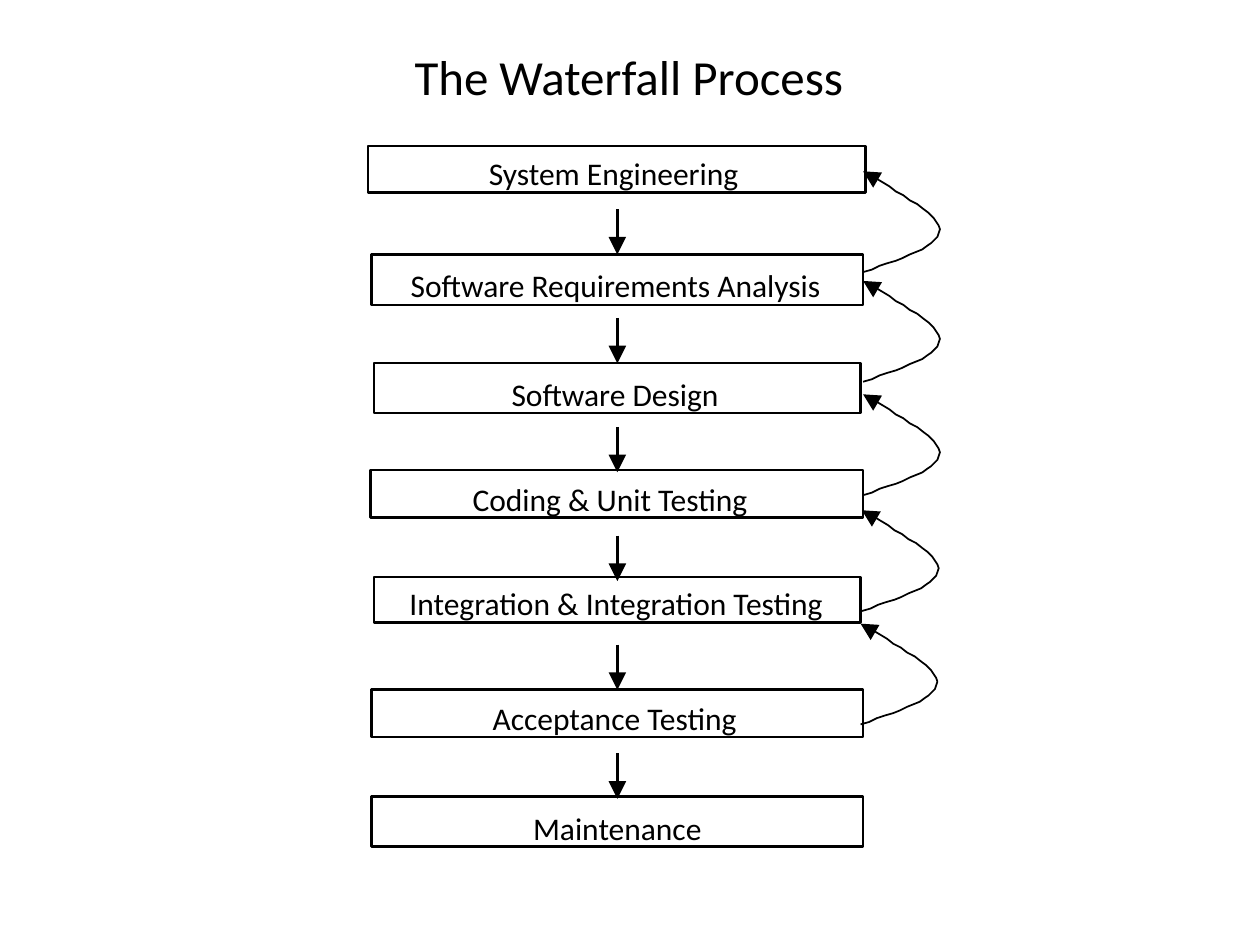
from dataclasses import dataclass

from lxml.etree import SubElement
from pptx import Presentation
from pptx.dml.color import RGBColor
from pptx.enum.shapes import MSO_CONNECTOR, MSO_SHAPE
from pptx.enum.text import MSO_ANCHOR, MSO_AUTO_SIZE, PP_ALIGN
from pptx.oxml.ns import qn
from pptx.util import Inches, Pt

BLACK = "000000"
FONT = "Calibri"
ARROW_COUNT = 6
ARROW_CENTER = 4.9
ARROW_TOP = 1.66
ARROW_STEP = 0.864
SHAFT_LENGTH = 0.23
DOWN_HEAD = [(0.07, 0.22), (-0.07, 0.22), (0, 0.36)]
FEEDBACK_HEAD = [(0, 0), (0.08, 0.13), (0.15, 0.01)]
FEEDBACK_CURVE = [
    (0, 0.80), (0.07, 0.78), (0.13, 0.75), (0.19, 0.73), (0.26, 0.71),
    (0.31, 0.69), (0.37, 0.66), (0.42, 0.64), (0.47, 0.62), (0.51, 0.59),
    (0.54, 0.57), (0.59, 0.52), (0.61, 0.46), (0.60, 0.43), (0.56, 0.37),
    (0.52, 0.33), (0.48, 0.30), (0.43, 0.26), (0.37, 0.23), (0.32, 0.19),
    (0.26, 0.16), (0.21, 0.12), (0.16, 0.09), (0.11, 0.06),
]


@dataclass
class Stage:
    name: str
    left: float
    top: float
    width: float
    height: float
    space_above: float
    indent: float = 0
    alignment: PP_ALIGN = PP_ALIGN.LEFT


@dataclass
class Feedback:
    left: float
    top: float


STAGES = [
    Stage("System Engineering", 2.92, 1.16, 3.95, 0.37, 4.8, 0.96),
    Stage("Software Requirements Analysis", 2.95, 2.02, 3.9, 0.4, 6.6, 0.31),
    Stage("Software Design", 2.97, 2.88, 3.86, 0.4, 6.8, 1.09),
    Stage("Coding & Unit Testing", 2.94, 3.73, 3.91, 0.38, 5.6, 0.81),
    Stage("Integration & Integration Testing", 2.97, 4.58, 3.86, 0.36, 4, 0.28),
    Stage("Acceptance Testing", 2.95, 5.47, 3.9, 0.38, 5.8, 0.96),
    Stage("Maintenance", 2.95, 6.32, 3.9, 0.4, 7.2, alignment=PP_ALIGN.CENTER),
]

FEEDBACKS = [
    Feedback(6.83, 4.95),
    Feedback(6.84, 4.05),
    Feedback(6.85, 3.13),
    Feedback(6.85, 2.23),
    Feedback(6.85, 1.36),
]


def color(value: str) -> RGBColor:
    return RGBColor.from_string(value)


def write_text(shape, text: str, *, size: float, inset_top, indent: float = 0,
               alignment: PP_ALIGN = PP_ALIGN.LEFT) -> None:
    frame = shape.text_frame
    frame.word_wrap = True
    frame.auto_size = MSO_AUTO_SIZE.NONE
    frame.vertical_anchor = MSO_ANCHOR.TOP
    frame.margin_left = Inches(indent)
    frame.margin_top = inset_top
    frame.margin_right = frame.margin_bottom = 0
    paragraph = frame.paragraphs[0]
    paragraph.alignment = alignment
    run = paragraph.add_run()
    run.text = text
    run.font.name = FONT
    run.font.size = Pt(size)
    run.font.color.rgb = color(BLACK)


def draw_title(slide) -> None:
    title = slide.shapes.add_textbox(Inches(1.52), Inches(0.19), Inches(6.97), Inches(0.64))
    write_text(title, "The Waterfall Process", size=28, inset_top=Inches(0.18), indent=1.77)


def draw_stage(slide, stage: Stage) -> None:
    box = slide.shapes.add_shape(
        MSO_SHAPE.RECTANGLE, Inches(stage.left), Inches(stage.top),
        Inches(stage.width), Inches(stage.height))
    box.shadow.inherit = False
    box.fill.background()
    box.line.color.rgb = color(BLACK)
    box.line.width = Pt(1.5)
    write_text(box, stage.name, size=18, inset_top=Pt(stage.space_above),
               indent=stage.indent, alignment=stage.alignment)


def draw_outline(group, points: list, left: float, top: float, closed: bool):
    places = [(Inches(left + x), Inches(top + y)) for x, y in points]
    builder = group.shapes.build_freeform(*places[0])
    builder.add_line_segments(places[1:], close=closed)
    shape = builder.convert_to_shape()
    shape.shadow.inherit = False
    return shape


def draw_head(group, points: list, left: float, top: float) -> None:
    head = draw_outline(group, points, left, top, closed=True)
    head.fill.solid()
    head.fill.fore_color.rgb = color(BLACK)
    head.line.fill.background()


def draw_down_arrow(slide, top: float) -> None:
    group = slide.shapes.add_group_shape()
    shaft = group.shapes.add_connector(
        MSO_CONNECTOR.STRAIGHT, Inches(ARROW_CENTER), Inches(top),
        Inches(ARROW_CENTER), Inches(top + SHAFT_LENGTH))
    shaft.line.color.rgb = color(BLACK)
    shaft.line.width = Pt(1.5)
    SubElement(shaft._element.spPr, qn("a:effectLst"))
    draw_head(group, DOWN_HEAD, ARROW_CENTER, top)


def draw_feedback(slide, feedback: Feedback) -> None:
    group = slide.shapes.add_group_shape()
    curve = draw_outline(group, FEEDBACK_CURVE, feedback.left, feedback.top, closed=False)
    curve.fill.background()
    curve.line.color.rgb = color(BLACK)
    curve.line.width = Pt(1)
    draw_head(group, FEEDBACK_HEAD, feedback.left, feedback.top)


def main() -> None:
    presentation = Presentation()
    presentation.slide_width = Inches(10)
    presentation.slide_height = Inches(7.5)
    slide = presentation.slides.add_slide(presentation.slide_layouts[6])
    draw_title(slide)
    for stage in STAGES:
        draw_stage(slide, stage)
    for index in range(ARROW_COUNT):
        draw_down_arrow(slide, ARROW_TOP + index * ARROW_STEP)
    for feedback in FEEDBACKS:
        draw_feedback(slide, feedback)
    presentation.save("out.pptx")


if __name__ == "__main__":
    main()
